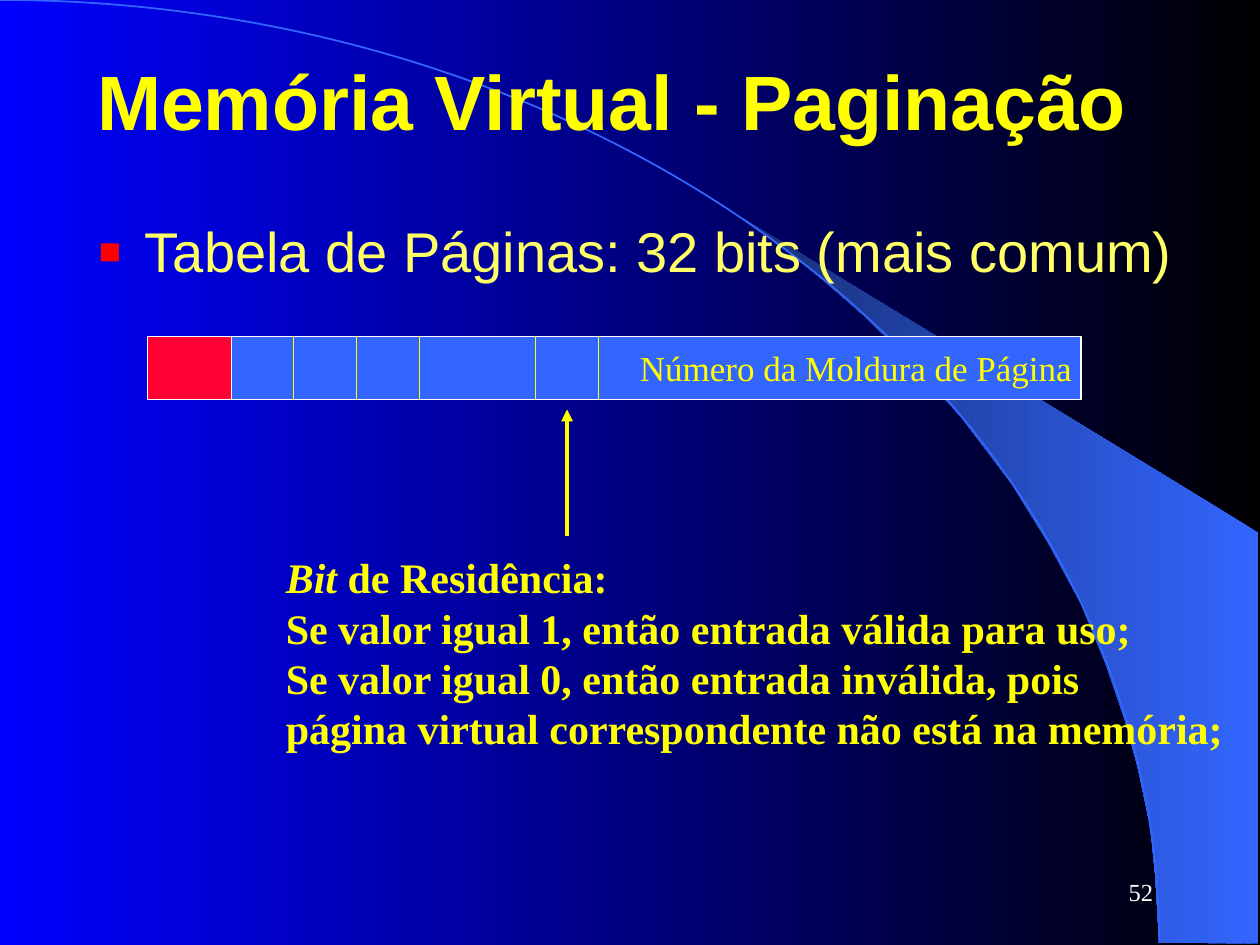
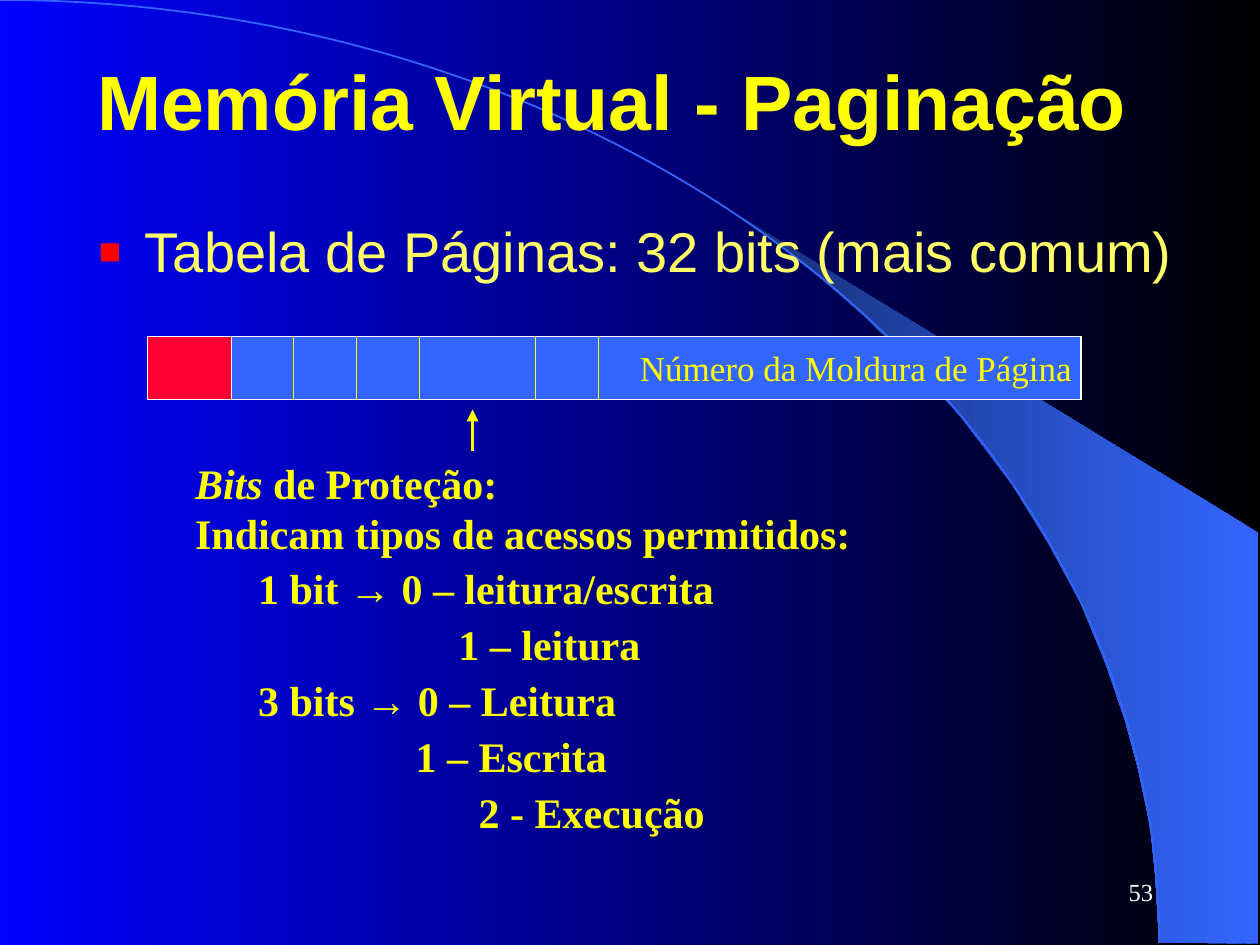
"""Builds two slides on page table entries in virtual memory."""
from lxml import etree
from pptx import Presentation
from pptx.dml.color import RGBColor
from pptx.enum.shapes import MSO_CONNECTOR, MSO_SHAPE
from pptx.enum.text import MSO_ANCHOR, MSO_AUTO_SIZE, PP_ALIGN
from pptx.oxml.ns import qn
from pptx.util import Inches, Pt

LINE = MSO_CONNECTOR.STRAIGHT
RECT, ARC = MSO_SHAPE.RECTANGLE, MSO_SHAPE.ARC
TOP, MID = MSO_ANCHOR.TOP, MSO_ANCHOR.MIDDLE
LEFT, RIGHT, FULL = PP_ALIGN.LEFT, PP_ALIGN.RIGHT, PP_ALIGN.JUSTIFY
FIXED = MSO_AUTO_SIZE.NONE

HUES = {
    "black": "000000", "deep": "0000FF", "blue": "3366FF", "navy": "172F75",
    "yellow": "FFFF00", "pale": "FFFF66", "red": "FF0033", "mark": "FF0000",
    "white": "FFFFFF",
}
SANS, SERIF = "Arial", "Times New Roman"
FAN = [
    (9.2, 7.48), (9.99, 7.49), (9.99, 4.23), (5.89, 1.73), (6.24, 1.99),
    (6.53, 2.22), (6.85, 2.5), (7.16, 2.8), (7.62, 3.3), (8.03, 3.84),
    (8.32, 4.31), (8.58, 4.79), (8.78, 5.28), (8.93, 5.72), (9.03, 6.09),
    (9.13, 6.56), (9.17, 6.96),
]
BAR_TOP, BAR_H = 2.67, 0.5
CUTS = [2.33, 2.83, 3.33, 4.25, 4.75]
NOTE = {"size": 24, "bold": True}


def hue(name):
    return RGBColor.from_string(HUES[name])


def node(parent, tag, **attrs):
    return etree.SubElement(parent, qn(tag), **attrs)


def blend(fill, first, last):
    fill.gradient()
    fill.gradient_angle = 180
    for stop, name in zip(fill.gradient_stops, (first, last)):
        stop.color.rgb = hue(name)


def write(frame, text, font=SERIF, size=24, color="yellow", bold=False,
          align=LEFT, left=0, first=0, before=0, lead=None, mark=None):
    """Adds a paragraph; text is a string or a list of (text, font, italic)."""
    para = frame.paragraphs[-1]
    if para.runs:
        para = frame.add_paragraph()
    para.alignment = align
    para.space_before = Pt(before)
    if lead:
        para.line_spacing = lead
    props = para._p.get_or_add_pPr()
    props.set("marL", str(Inches(left)))
    props.set("indent", str(Inches(first)))
    if mark:
        node(node(props, "a:buClr"), "a:srgbClr", val=HUES["mark"])
        node(props, "a:buSzPct", val="130000")
        node(props, "a:buFont", typeface=font)
        node(props, "a:buChar", char=mark)
    else:
        node(props, "a:buNone")
    runs = [(text, font, False)] if isinstance(text, str) else text
    for part, face, slant in runs:
        run = para.add_run()
        run.text = part
        run.font.name, run.font.size = face, Pt(size)
        run.font.bold, run.font.italic = bold, slant
        run.font.color.rgb = hue(color)


class Deck:
    """Holds the style and the current slide."""

    def __init__(self):
        self.prs = Presentation()
        self.prs.slide_width, self.prs.slide_height = Inches(10), Inches(7.5)
        self.base = self.prs.slide_layouts[1]
        blend(self.base.background.fill, "black", "deep")
        self.page = None

    def start(self, title, point, number):
        fresh = self.page is None
        self.page = self.prs.slides.add_slide(self.base)
        if fresh:
            self.decor()
        head, body = self.page.placeholders
        self.frame(head, 0.67, 0.17, 9, 1.25, MID)
        write(head.text_frame, title, font=SANS, size=44, bold=True)
        self.frame(body, 0.67, 1.67, 9, 0.67)
        write(body.text_frame, point, font=SANS, size=32, color="pale",
              align=FULL, left=0.38, first=-0.38, mark="▪")
        write(self.box(7.17, 6.83, 2.08, 0.5, MID), number, size=14,
              color="white", align=RIGHT)

    def decor(self):
        shapes = self.page.shapes
        path = [(Inches(x), Inches(y)) for x, y in FAN]
        pen = shapes.build_freeform(*path[0], scale=1.0)
        pen.add_line_segments(path[1:], close=True)
        fan = pen.convert_to_shape()
        blend(fan.fill, "blue", "navy")
        fan.line.fill.background()
        arc = shapes.add_shape(ARC, Inches(-9.2), 0, Inches(18.4), Inches(14.97))
        arc.fill.background()
        arc.line.color.rgb, arc.line.width = hue("blue"), Pt(1)
        for spot, shape in enumerate((fan, arc), 2):
            shape.shadow.inherit = False
            self.base.shapes.element.insert(spot, shape.element)

    def frame(self, shape, x, y, w, h, anchor=TOP, wrap=True):
        shape.left, shape.top = Inches(x), Inches(y)
        shape.width, shape.height = Inches(w), Inches(h)
        text = shape.text_frame
        text.auto_size, text.word_wrap = FIXED, wrap
        text.vertical_anchor = anchor
        text.margin_left = text.margin_right = Inches(0.1)
        text.margin_top = text.margin_bottom = Inches(0.05)
        return text

    def box(self, x, y, w, h, anchor=TOP, wrap=True):
        shape = self.page.shapes.add_textbox(0, 0, 0, 0)
        return self.frame(shape, x, y, w, h, anchor, wrap)

    def rect(self, x, y, w, h, color):
        shape = self.page.shapes.add_shape(RECT, 0, 0, 0, 0)
        shape.shadow.inherit = False
        shape.fill.solid()
        shape.fill.fore_color.rgb = hue(color)
        shape.line.color.rgb, shape.line.width = hue("white"), Pt(0.75)
        return self.frame(shape, x, y, w, h, MID)

    def line(self, x, start, end, width=0.75, arrow=False):
        link = self.page.shapes.add_connector(
            LINE, Inches(x), Inches(start), Inches(x), Inches(end))
        link.line.color.rgb, link.line.width = hue("yellow"), Pt(width)
        if arrow:
            node(link.line._get_or_add_ln(), "a:tailEnd", type="triangle")
        node(link.element.spPr, "a:effectLst")

    def arrow(self, x, start):
        self.line(x, start, 3.25, 2.25, True)

    def entry(self):
        field = self.rect(1.83, BAR_TOP, 6.75, BAR_H, "blue")
        field.margin_right = Inches(0.07)
        write(field, "Número da Moldura de Página", size=20, align=RIGHT)
        self.rect(1.17, BAR_TOP, 0.67, BAR_H, "red")
        for x in CUTS:
            self.line(x, BAR_TOP, BAR_TOP + BAR_H)


def main():
    deck = Deck()
    title = "Memória Virtual - Paginação"
    point = "Tabela de Páginas: 32 bits (mais comum)"

    deck.start(title, point, "52")
    deck.arrow(4.5, 4.25)
    note = deck.box(2.17, 4.33, 7.64, 1.7, wrap=False)
    for text in (
        [("Bit", SERIF, True), (" de Residência:", SERIF, False)],
        "Se valor igual 1, então entrada válida para uso;",
        "Se valor igual 0, então entrada inválida, pois",
        "página virtual correspondente não está na memória;",
    ):
        write(note, text, **NOTE)
    deck.entry()

    deck.start(title, point, "53")
    note = deck.box(1.45, 3.58, 5.44, 3.52)
    write(note, [("Bits", SERIF, True), (" de Proteção:", SERIF, False)], **NOTE)
    write(note, "Indicam tipos de acessos permitidos:", **NOTE)
    for left, *parts in (
        (0.5, "1 bit ", "→", " 0 – leitura/escrita"),
        (2.09, "1 – leitura"),
        (0.5, "3 bits ", "→", " 0 – Leitura"),
        (1.75, "1 – Escrita"),
        (2.25, "2 - Execução"),
    ):
        runs = [(part, SANS if part == "→" else SERIF, False) for part in parts]
        write(note, runs, left=left, before=6, lead=0.9, **NOTE)
    deck.arrow(3.75, 3.58)
    deck.entry()

    deck.prs.save("out.pptx")


if __name__ == "__main__":
    main()
